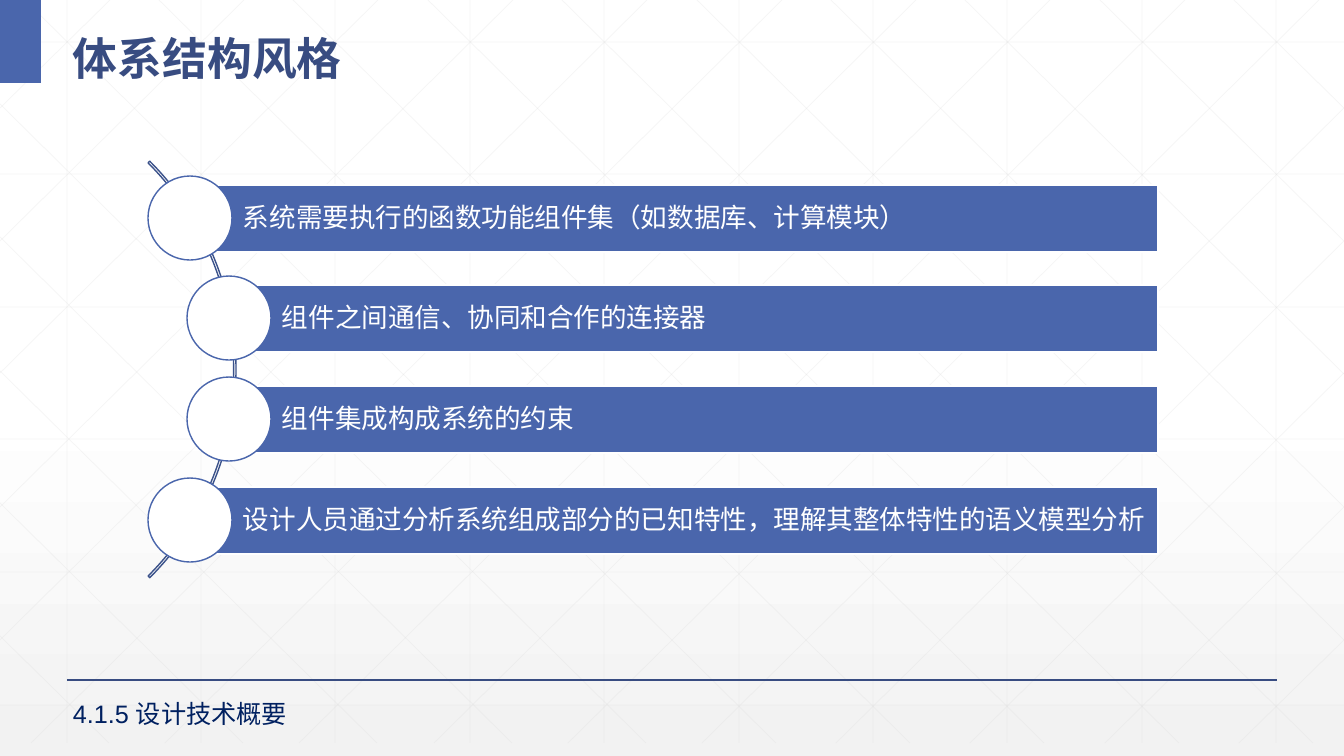
from lxml import etree
from pptx import Presentation, util as u
from pptx.dml.color import RGBColor
from pptx.enum import shapes, text
from pptx.oxml import ns

WIDTH, HEIGHT = 1344, 756
GRID_BOTTOM, DIAGONAL_RUN = 743, 751
COLORS = {"blue": "4A66AC", "navy": "384C81", "arc": "3B528A", "ink": "002060",
          "white": "FFFFFF", "mist": "F2F2F2", "grid": "D9D9D9"}
CJK = "Noto Sans CJK SC"


def rgb(name):
    return RGBColor.from_string(COLORS[name])


def sub(parent, tag, **attrs):
    return etree.SubElement(parent, ns.qn(tag), attrs)


class Deck:
    scale = u.Inches(13.3333) / WIDTH

    def __init__(self):
        self.prs = Presentation()
        self.prs.slide_width, self.prs.slide_height = self.emu(WIDTH, HEIGHT)
        self.s = self.prs.slides.add_slide(self.prs.slide_layouts[6])

    def emu(self, *px):
        return [u.Emu(round(v * self.scale)) for v in px]

    def background(self, stops):
        fill = self.s.background.fill
        fill.gradient()
        fill.gradient_angle = 270
        stop_list = next(self.s.element.iter(ns.qn("a:gsLst")))
        for old in list(stop_list):
            stop_list.remove(old)
        for pos, color, alpha in stops:
            stop = sub(stop_list, "a:gs", pos=str(pos * 1000))
            clr = sub(stop, "a:srgbClr", val=COLORS[color])
            sub(clr, "a:alpha", val=str(alpha * 1000))

    def line(self, x1, y1, x2, y2, color="grid", width=0.5, alpha=25):
        c = self.s.shapes.add_connector(
            shapes.MSO_CONNECTOR.STRAIGHT, *self.emu(x1, y1, x2, y2))
        c.line.color.rgb = rgb(color)
        c.line.width = u.Pt(width)
        clr = next(c._element.spPr.iter(ns.qn("a:srgbClr")))
        sub(clr, "a:alpha", val=str(alpha * 1000))
        sub(c._element.spPr, "a:effectLst")

    def diagonal(self, x, y, right, down):
        run = min(DIAGONAL_RUN, WIDTH - x if right > 0 else x)
        rise = run * GRID_BOTTOM // DIAGONAL_RUN
        self.line(x, y, x + right * run, y + down * rise)

    def shape(self, kind, x, y, w, h, fill=None, line=None):
        sp = self.s.shapes.add_shape(kind, *self.emu(x, y, w, h))
        sp.shadow.inherit = False
        if fill:
            sp.fill.solid()
            sp.fill.fore_color.rgb = rgb(fill)
        else:
            sp.fill.background()
        if line:
            sp.line.color.rgb = rgb(line)
            sp.line.width = u.Pt(1)
        else:
            sp.line.fill.background()
        return sp

    def label(self, sp, words, size, color, frame=None, para=None, font="Arial", bold=False):
        tf = sp.text_frame
        p = tf.paragraphs[0]
        r = p.add_run()
        r.text = words
        formats = {
            tf: {"word_wrap": True, **(frame or {})},
            p: {"alignment": text.PP_ALIGN.LEFT, **(para or {})},
            r.font: {"size": u.Pt(size), "name": font, "bold": bold},
        }
        for target, values in formats.items():
            for name, value in values.items():
                setattr(target, name, value)
        r.font.color.rgb = rgb(color)
        sub(r._r.get_or_add_rPr(), "a:ea", typeface=CJK)

    def textbox(self, x, y, w, h, words, size, color, **formats):
        sp = self.s.shapes.add_textbox(*self.emu(x, y, w, h))
        self.label(sp, words, size, color, **formats)

    def bar(self, x, y, right, h, words):
        sp = self.shape(shapes.MSO_SHAPE.RECTANGLE, x, y, right - x, h, "blue", "white")
        left, side = self.emu(53, 5)
        self.label(sp, words, 19, "white",
                   frame={"vertical_anchor": text.MSO_ANCHOR.MIDDLE, "margin_left": left,
                          "margin_right": side, "margin_top": side, "margin_bottom": side},
                   para={"line_spacing": 0.9})

    def arc(self, x, y, size, start, end, thickness):
        sp = self.shape(shapes.MSO_SHAPE.BLOCK_ARC, x, y, size, size, line="arc")
        for i, value in enumerate((start * 0.6, end * 0.6, thickness)):
            sp.adjustments[i] = value


def draw_grid(deck):
    for i in range(10):
        x = 67 + i * 1344 // 10
        deck.line(x, 0, x, GRID_BOTTOM)
    for i in range(6):
        y = 42 + i * 663 // 5
        deck.line(0, y, WIDTH, y)
    for first, y, right, down, count in ((25, 0, 1, 1, 10), (110, 0, -1, 1, 10),
                                         (109, GRID_BOTTOM, -1, -1, 5),
                                         (702, GRID_BOTTOM, 1, -1, 5)):
        for i in range(count):
            deck.diagonal(first + i * 1344 // 10, y, right, down)


def main():
    deck = Deck()
    deck.background([(0, "white", 100), (53, "white", 100), (100, "mist", 65)])
    draw_grid(deck)
    deck.line(67, 680, 1277, 680, "navy", 1, 100)
    deck.shape(shapes.MSO_SHAPE.RECTANGLE, 0, 0, 41, 83, "blue")
    deck.textbox(63, 10, 1252, 73, "体系结构风格", 32, "navy",
                 para={"line_spacing": 1.3}, font=CJK, bold=True)

    deck.arc(-353, 75, 589, 315, 45, 0.004)
    items = [(190, "系统需要执行的函数功能组件集（如数据库、计算模块）"),
             (229, "组件之间通信、协同和合作的连接器"),
             (229, "组件集成构成系统的约束"),
             (190, "设计人员通过分析系统组成部分的已知特性，理解其整体特性的语义模型分析")]
    bar_height, circle = 67, 84
    for i, (x, words) in enumerate(items):
        middle = 218 + i * 504 // 5
        deck.bar(x, middle - bar_height // 2, 1158, bar_height, words)
        deck.shape(shapes.MSO_SHAPE.OVAL, x - circle // 2, middle - circle // 2,
                   circle, circle, "white", "blue")

    deck.textbox(63, 693, 356, 40, "4.1.5 设计技术概要", 18, "ink")
    deck.prs.save("out.pptx")


if __name__ == "__main__":
    main()
